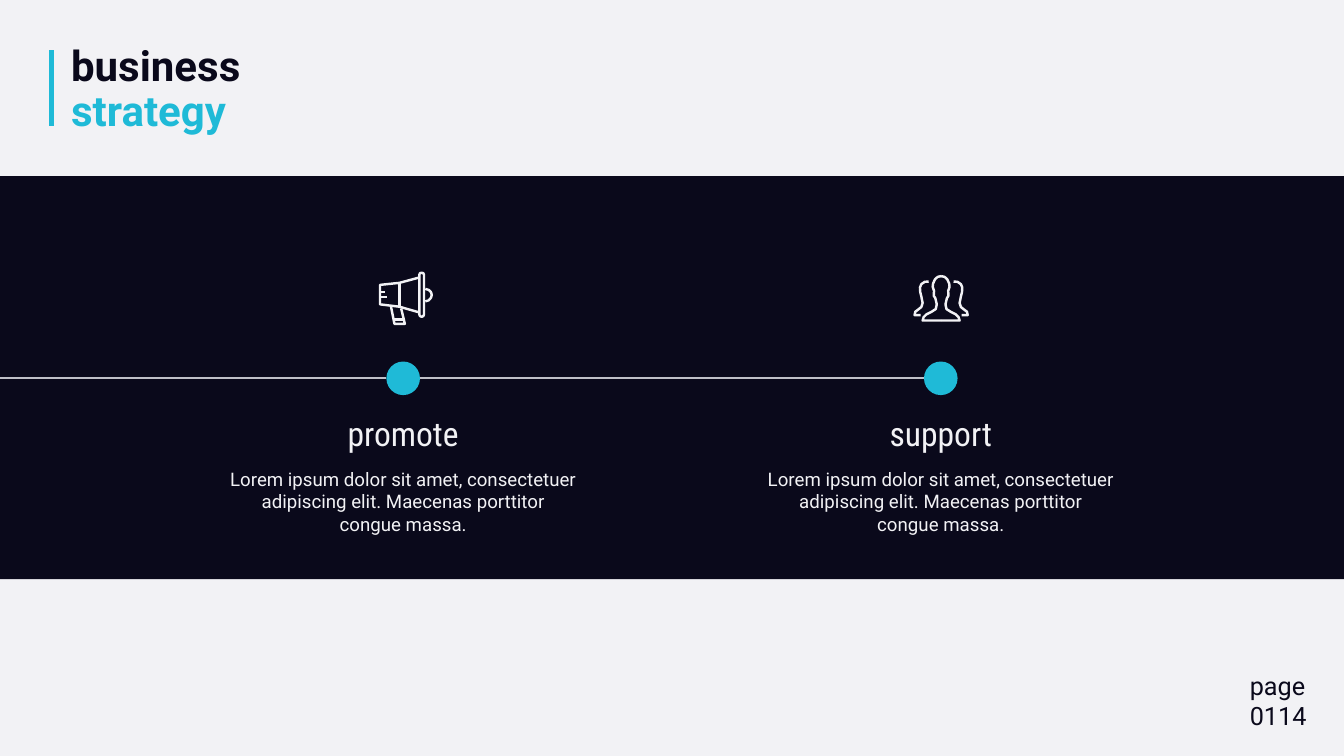
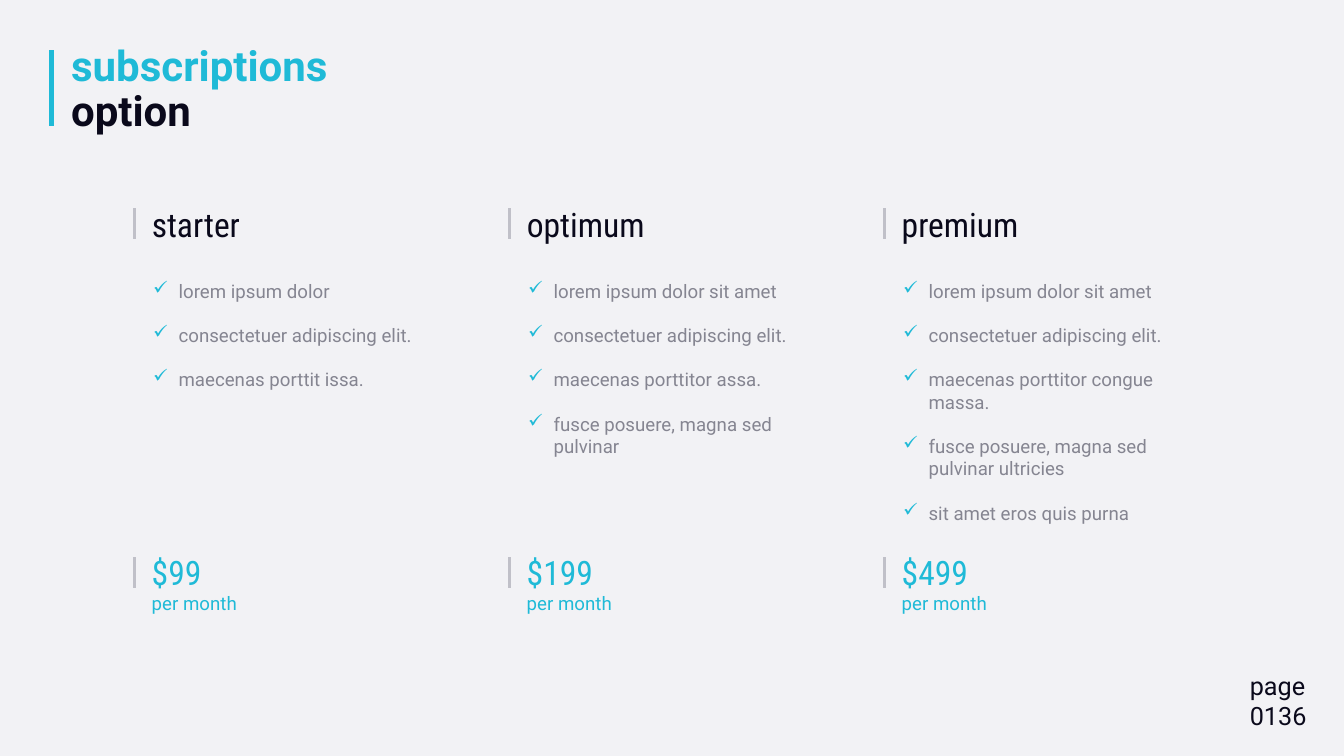
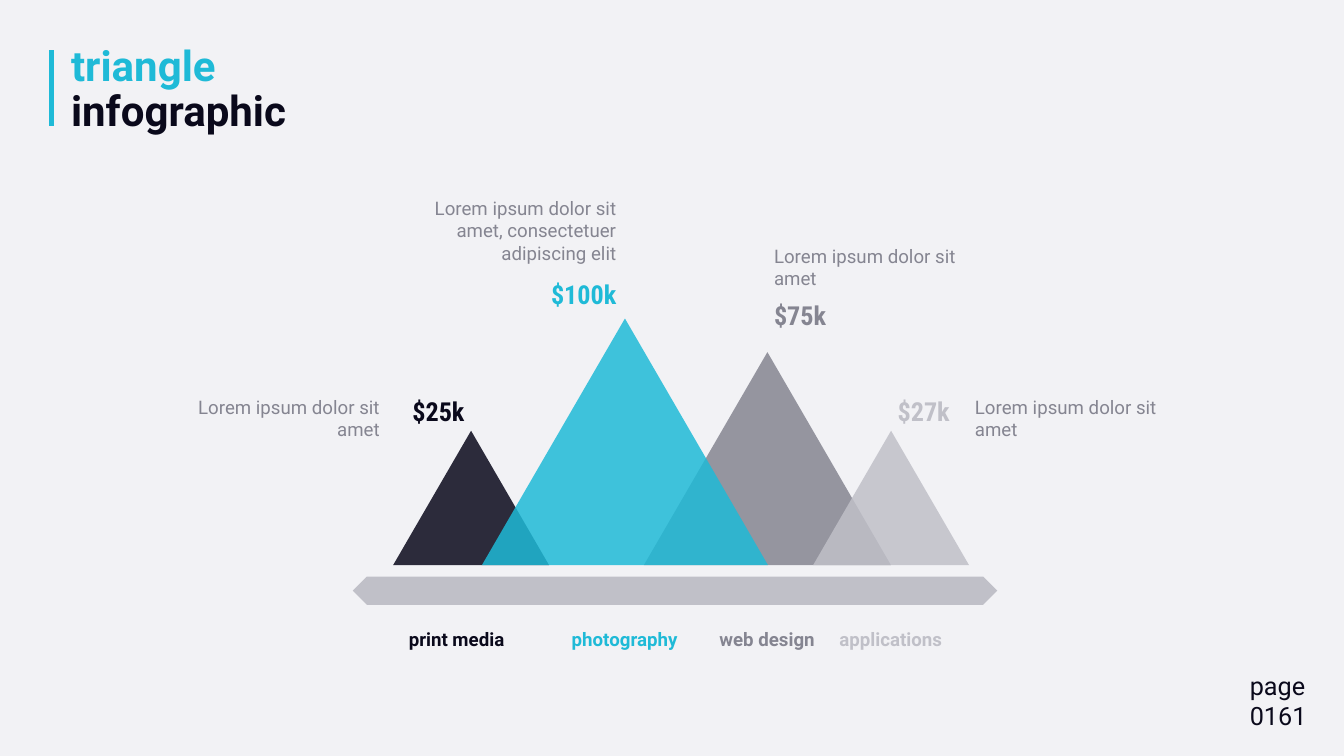
"""Build three slides: a strategy timeline, subscription plans and a triangle infographic."""
from lxml.etree import SubElement
from pptx import Presentation
from pptx.dml.color import RGBColor
from pptx.enum.shapes import MSO_CONNECTOR as CONNECTOR, MSO_SHAPE as SHAPE
from pptx.enum.text import PP_ALIGN as ALIGN
from pptx.oxml.ns import qn
from pptx.util import Inches, Pt

COLORS = {"paper": "F2F2F5", "ink": "0A091B", "accent": "1FBAD7", "gray": "858591", "silver": "C0C0C8"}
BODY, HEADING = "Roboto", "Roboto Condensed"

MEGAPHONE = [
    [(60, 9), (30.5, 17), (1.5, 20), (1.5, 49), (30.5, 52.5), (60, 61)],
    [(30.5, 17), (30.5, 52.5)],
    [(1.5, 31), (9.5, 31)],
    [(1.5, 38), (12.5, 38)],
    [(60, 5), (61, 2.5), (63.5, 2), (66, 2.5), (67, 5), (67, 64), (66, 66.5),
     (63.5, 67.5), (61, 66.5), (60, 64), (60, 5)],
    [(69, 26), (74, 27.5), (77.5, 31), (78.5, 35), (77.5, 39), (74, 43), (69, 44.5)],
    [(18, 53), (23, 78), (38.5, 78), (33, 55)],
    [(22, 71.5), (36, 71.5)],
]
PERSON_HALF = [(0, 2), (5, 3), (9, 6.5), (12, 13), (12.5, 18), (10.5, 24), (11, 31), (8.5, 35),
               (6.5, 44), (8, 51), (15, 55.5), (22, 59), (26, 63), (27.5, 68), (0, 68)]
NEIGHBOUR = [(18.5, 10), (24.5, 10.5), (29.5, 14), (31.5, 19), (31, 26), (29.5, 32), (27.5, 42),
             (29.5, 48), (34.5, 52), (38.5, 55), (39.5, 60), (30.5, 60)]
PEOPLE = [[(41.5 + side * x, y) for x, y in half]
          for half in (PERSON_HALF, NEIGHBOUR) for side in (-1, 1)]

STEP_TEXT = ["Lorem ipsum dolor sit amet, consectetuer adipiscing elit. Maecenas porttitor", "congue massa."]
STEPS = [("promote", 6, MEGAPHONE, (5.64, 4.04)), ("support", 14, PEOPLE, (13.59, 4.09))]

PLANS = [
    ("starter", "$99", ["lorem ipsum dolor", "consectetuer adipiscing elit.", "maecenas porttit issa."]),
    ("optimum", "$199", ["lorem ipsum dolor sit amet", "consectetuer adipiscing elit.",
                         "maecenas porttitor assa.", "fusce posuere, magna sed pulvinar"]),
    ("premium", "$499", ["lorem ipsum dolor sit amet", "consectetuer adipiscing elit.",
                         "maecenas porttitor congue massa.",
                         "fusce posuere, magna sed pulvinar ultricies", "sit amet eros quis purna"]),
]
PLAN_LEFT, PLAN_PITCH = 2, 5.58

SHORT_NOTE = "Lorem ipsum dolor sit amet"
LONG_NOTE = "Lorem ipsum dolor sit amet, consectetuer adipiscing elit"
PEAK_BASE, PEAK_RATIO = 8.41, 1.16
PEAKS = [
    {"label": "web design", "label_x": 11.42, "center": 11.42, "height": 3.17, "color": "gray",
     "align": ALIGN.LEFT, "amount": ("$75k", 11.42, 4.4), "note": (SHORT_NOTE, 11.42, 3.59)},
    {"label": "applications", "label_x": 13.26, "center": 13.26, "height": 2, "color": "silver",
     "align": ALIGN.LEFT, "amount": ("$27k", 13.26, 5.84), "note": (SHORT_NOTE, 14.41, 5.84)},
    {"label": "print media", "label_x": 6.8, "center": 7.01, "height": 2, "color": "ink",
     "align": ALIGN.RIGHT, "amount": ("$25k", 7.01, 5.84), "note": (SHORT_NOTE, 5.75, 5.84)},
    {"label": "photography", "label_x": 9.3, "center": 9.3, "height": 3.67, "color": "accent",
     "align": ALIGN.RIGHT, "amount": ("$100k", 9.27, 4.09), "note": (LONG_NOTE, 9.27, 2.88)},
]


def rgb(name):
    return RGBColor.from_string(COLORS[name])


def set_font(font, size, color, name=BODY, bold=False):
    font.size, font.name, font.bold = Pt(size), name, bold
    font.color.rgb = rgb(color)


def add_frame(slide, left, top, width, height):
    box = slide.shapes.add_textbox(Inches(left), Inches(top), Inches(width), Inches(height))
    box.text_frame.word_wrap = True
    return box.text_frame


def add_text(slide, box, lines, size, color, name=BODY, bold=False, align=ALIGN.LEFT):
    frame = add_frame(slide, *box)
    frame.text = "\n".join(lines)
    for paragraph in frame.paragraphs:
        paragraph.alignment = align
        set_font(paragraph.font, size, color, name, bold)
    return frame


def add_checklist(slide, box, items):
    frame = add_frame(slide, *box)
    frame.text = "\n".join(items)
    for index, paragraph in enumerate(frame.paragraphs):
        if index:
            paragraph.space_before = Pt(23.5)
        properties = paragraph._p.get_or_add_pPr()
        properties.set("marL", str(Inches(0.38)))
        properties.set("indent", str(-Inches(0.38)))
        bullet_color = SubElement(properties, qn("a:buClr"))
        SubElement(bullet_color, qn("a:srgbClr"), val=COLORS["accent"])
        SubElement(properties, qn("a:buChar"), char="✓")
        set_font(paragraph.font, 20, "gray")


def add_line(slide, start, end, color, width):
    line = slide.shapes.add_connector(CONNECTOR.STRAIGHT, *map(Inches, start + end))
    line.line.color.rgb = rgb(color)
    line.line.width = Pt(width)
    SubElement(line._element.spPr, qn("a:effectLst"))


def add_block(slide, kind, left, top, width, height, color, opacity=100):
    shape = slide.shapes.add_shape(kind, Inches(left), Inches(top), Inches(width), Inches(height))
    shape.shadow.inherit = False
    shape.line.fill.background()
    shape.fill.solid()
    shape.fill.fore_color.rgb = rgb(color)
    if opacity < 100:
        tint = shape._element.spPr.find(qn("a:solidFill"))[0]
        SubElement(tint, qn("a:alpha"), val=str(opacity * 1000))
    return shape


def add_icon(slide, strokes, origin):
    """Draw open strokes given in hundredths of an inch."""
    strokes = [[(x * 10, y * 10) for x, y in stroke] for stroke in strokes]
    builder = slide.shapes.build_freeform(*strokes[0][0], scale=Inches(1) / 1000)
    for index, stroke in enumerate(strokes):
        if index:
            builder.move_to(*stroke[0])
        builder.add_line_segments(stroke[1:], close=False)
    icon = builder.convert_to_shape(*map(Inches, origin))
    icon.shadow.inherit = False
    icon.fill.background()
    icon.line.color.rgb = rgb("paper")
    icon.line.width = Pt(2.6)


def new_slide(presentation, title, page):
    slide = presentation.slides.add_slide(presentation.slide_layouts[6])
    add_line(slide, (0.77, 0.75), (0.77, 1.88), "accent", 5)
    paragraph = add_frame(slide, 0.96, 0.62, 5.96, 1.46).paragraphs[0]
    paragraph.line_spacing = 0.9
    for index, (text, color) in enumerate(title):
        if index:
            paragraph.add_line_break()
        run = paragraph.add_run()
        run.text = text
        set_font(run.font, 45, color, bold=True)
    add_text(slide, (18.5, 9.92, 1.9, 1.04), ["page", page], 27, "ink")
    return slide


def build_strategy(presentation):
    slide = new_slide(presentation, [("business", "ink"), ("strategy", "accent")], "0114")
    add_block(slide, SHAPE.RECTANGLE, 0, 2.62, 20, 6, "ink")
    line_start = 0
    for name, center, icon, origin in STEPS:
        add_line(slide, (line_start, 5.62), (center - 0.25, 5.62), "silver", 2)
        line_start = center + 0.25
        add_block(slide, SHAPE.OVAL, center - 0.25, 5.38, 0.5, 0.5, "accent")
        add_text(slide, (center - 2.1, 6.1, 4.2, 0.71), [name], 36, "paper", HEADING, align=ALIGN.CENTER)
        add_text(slide, (center - 3.09, 6.91, 6.18, 1.11), STEP_TEXT, 20, "paper", align=ALIGN.CENTER)
        add_icon(slide, icon, origin)


def build_subscriptions(presentation):
    slide = new_slide(presentation, [("subscriptions", "accent"), ("option", "ink")], "0136")
    for index, (name, price, features) in enumerate(PLANS):
        left = PLAN_LEFT + index * PLAN_PITCH
        for top in (3.1, 8.29):
            add_line(slide, (left, top), (left, top + 0.46), "silver", 3)
        add_text(slide, (left + 0.16, 2.98, 4.55, 0.71), [name], 36, "ink", HEADING)
        add_checklist(slide, (left + 0.18, 4.11, 4.57, 3.8), features)
        frame = add_text(slide, (left + 0.16, 8.16, 1.84, 1.04), [price, "per month"], 36, "accent", HEADING)
        set_font(frame.paragraphs[1].font, 20, "accent")


def build_triangles(presentation):
    slide = new_slide(presentation, [("triangle", "accent"), ("infographic", "ink")], "0161")
    base = add_block(slide, SHAPE.SNIP_2_SAME_RECTANGLE, 5.25, 8.58, 9.59, 0.42, "silver")
    base.adjustments[0] = base.adjustments[1] = 0.5
    for peak in PEAKS:
        height, color, align = peak["height"], peak["color"], peak["align"]
        width = height * PEAK_RATIO
        add_block(slide, SHAPE.ISOSCELES_TRIANGLE, peak["center"] - width / 2, PEAK_BASE - height,
                  width, height, color, opacity=85)
        amount, amount_x, amount_top = peak["amount"]
        note, note_x, note_top = peak["note"]
        shift = 1 if align == ALIGN.RIGHT else 0
        add_text(slide, (amount_x - shift * 1.75, amount_top, 1.75, 0.57), [amount], 28, color,
                 HEADING, True, align)
        add_text(slide, (note_x - shift * 3.5, note_top, 3.5, 0.77), [note], 20, "gray", align=align)
        add_text(slide, (peak["label_x"] - 1.17, 9.3, 2.33, 0.44), [peak["label"]], 20, color,
                 bold=True, align=ALIGN.CENTER)


def main():
    presentation = Presentation()
    presentation.slide_width, presentation.slide_height = Inches(20), Inches(11.25)
    background = presentation.slide_master.background.fill
    background.solid()
    background.fore_color.rgb = rgb("paper")
    build_strategy(presentation)
    build_subscriptions(presentation)
    build_triangles(presentation)
    presentation.save("out.pptx")


if __name__ == "__main__":
    main()
